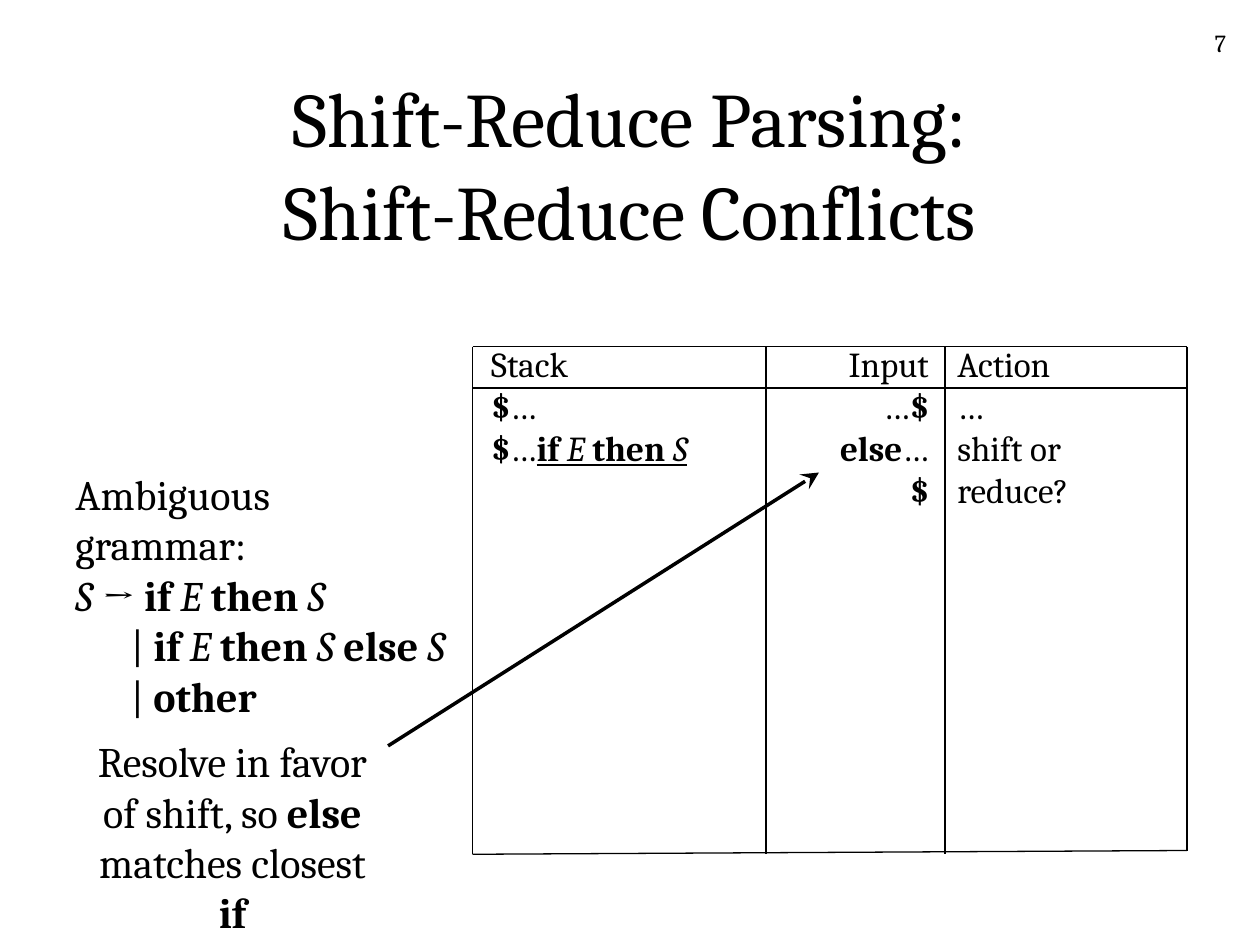
import pptx
import pptx.util
import pptx.oxml
import pptx.oxml.ns
import pptx.dml.color
import pptx.enum.shapes
import pptx.enum.text
from lxml import etree

Inches, Pt = pptx.util.Inches, pptx.util.Pt
ALIGN = pptx.enum.text.PP_ALIGN
BLACK = pptx.dml.color.RGBColor(0, 0, 0)
FONT = "Cambria"
STYLES = {"b": "bold", "i": "italic", "u": "underline"}

TITLE = [[("Shift-Reduce Parsing:\vShift-Reduce Conflicts", "")]]
PAGE = [[("7", "")]]
GRAMMAR = [
    [("Ambiguous grammar:", "")],
    [("S", "i"), (" → ", ""), ("if ", "b"), ("E ", "i"), ("then ", "b"), ("S", "i")],
    [("| ", ""), ("if ", "b"), ("E ", "i"), ("then ", "b"), ("S ", "i"),
     ("else ", "b"), ("S", "i")],
    [("| ", ""), ("other", "b")],
]
RESOLVE = [
    [("Resolve in favor", "")],
    [("of shift, so ", ""), ("else", "b")],
    [("matches closest ", ""), ("if", "b")],
]
STACK = [
    [("Stack", "")],
    [("$", "b"), ("…", "")],
    [("$", "b"), ("…", ""), ("if", "bu"), (" ", "u"), ("E", "iu"),
     (" ", "u"), ("then", "bu"), (" ", "u"), ("S", "iu")],
]
INPUT = [
    [("Input", "")],
    [("…", ""), ("$", "b")],
    [("else", "b"), ("…", ""), ("$", "b")],
]
ACTION = [[("Action", "")], [("…", "")], [("shift or reduce?", "")]]

COLUMN_TOP, COLUMN_HEIGHT = 2.67, 1.1
TEXTS = [
    ((7.75, 0.17, 2.08, 0.5), PAGE, 14, ALIGN.RIGHT),
    ((3.8, COLUMN_TOP, 1.83, COLUMN_HEIGHT), STACK, 20, ALIGN.LEFT),
    ((6.42, COLUMN_TOP, 1.05, COLUMN_HEIGHT), INPUT, 20, ALIGN.RIGHT),
    ((7.5, COLUMN_TOP, 1.93, COLUMN_HEIGHT), ACTION, 20, ALIGN.LEFT),
    ((0.5, 3.67, 3.15, 1.7), GRAMMAR, 24, ALIGN.LEFT),
    ((0.56, 5.79, 2.57, 1.3), RESOLVE, 24, ALIGN.CENTER),
]
GRID_X = [3.75, 6.08, 7.5, 9.42]
GRID_Y = [2.75, 3.08]
LEFT_BOTTOM, RIGHT_BOTTOM = 6.78, 6.75
ARROW = [(3.08, 5.92), (6.5, 3.75)]


def write(tf, lines, size, align):
    for n, line in enumerate(lines):
        p = tf.paragraphs[0] if n == 0 else tf.add_paragraph()
        p.alignment = align
        if line[0][0] == "| ":
            p._p.get_or_add_pPr().set("marL", str(Inches(0.44)))
        for text, marks in line:
            for k, part in enumerate(text.split("\v")):
                if k:
                    p.add_line_break()
                r = p.add_run()
                r.text = part
                look = {"name": FONT, "size": Pt(size)}
                look.update({STYLES[m]: True for m in marks})
                for key, value in look.items():
                    setattr(r.font, key, value)
                r.font.color.rgb = BLACK


def add_title(s):
    title = s.shapes.title
    place = {"left": 0.75, "top": 0.67, "width": 8.5, "height": 1.25}
    for key, value in place.items():
        setattr(title, key, Inches(value))
    tf = title.text_frame
    tf.auto_size = pptx.enum.text.MSO_AUTO_SIZE.NONE
    tf.vertical_anchor = pptx.enum.text.MSO_ANCHOR.MIDDLE
    write(tf, TITLE, 44, ALIGN.CENTER)


def add_text(s, box, lines, size, align):
    tf = s.shapes.add_textbox(*map(Inches, box)).text_frame
    tf.word_wrap = True
    write(tf, lines, size, align)


def add_line(s, start, end, width=0.75):
    line = s.shapes.add_connector(pptx.enum.shapes.MSO_CONNECTOR.STRAIGHT,
                                  *map(Inches, start + end))
    line.line.color.rgb = BLACK
    line.line.width = Pt(width)
    etree.SubElement(line._element.spPr, pptx.oxml.ns.qn("a:effectLst"))
    return line


def add_grid(s):
    left, right = GRID_X[0], GRID_X[-1]
    for x in GRID_X:
        bottom = RIGHT_BOTTOM if x == right else LEFT_BOTTOM
        add_line(s, (x, GRID_Y[0]), (x, bottom))
    for y in GRID_Y:
        add_line(s, (left, y), (right, y))
    add_line(s, (left, LEFT_BOTTOM), (right, RIGHT_BOTTOM))


def add_arrow(s, start, end):
    arrow = add_line(s, start, end, 2)
    etree.SubElement(arrow.line._get_or_add_ln(), pptx.oxml.ns.qn("a:tailEnd"),
                     type="stealth", w="lg", len="lg")


def main():
    prs = pptx.Presentation()
    prs.slide_width, prs.slide_height = Inches(10), Inches(7.5)
    s = prs.slides.add_slide(prs.slide_layouts[5])
    add_title(s)
    for text in TEXTS:
        add_text(s, *text)
    add_grid(s)
    add_arrow(s, *ARROW)
    prs.save("out.pptx")


if __name__ == "__main__":
    main()
